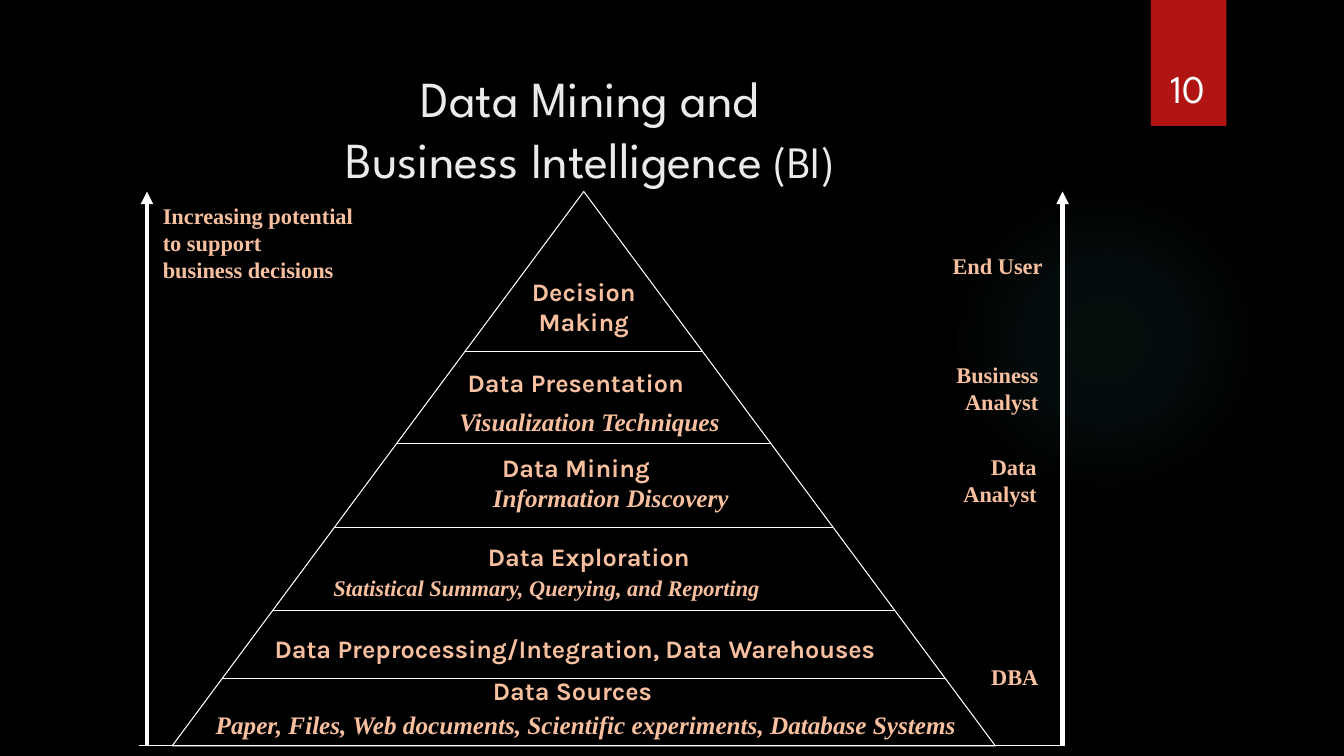
import pptx
import pptx.dml.color
import pptx.enum.shapes
import pptx.enum.text
import pptx.oxml
import pptx.oxml.ns
import pptx.util

ALIGN = pptx.enum.text.PP_ALIGN
ANCHOR = pptx.enum.text.MSO_ANCHOR
AUTO = pptx.enum.text.MSO_AUTO_SIZE
FORM = pptx.enum.shapes.MSO_SHAPE
NS = pptx.oxml.ns.nsdecls("a")
COLS, ROWS = 160, 90
HEAD, BODY, NOTE = "League Spartan", "Karla", "Times New Roman"
WHITE, PALE, PEACH = "FFFFFF", "EBEBEB", "F8C09F"


def paint(code):
    return pptx.dml.color.RGBColor.from_string(code)


class Board:
    """Draws styled elements on one slide, measured in columns and rows."""

    def __init__(self, deck, back):
        self.wide = deck.slide_width / COLS
        self.high = deck.slide_height / ROWS
        self.slide = deck.slides.add_slide(deck.slide_layouts[5])
        self.slide.background.fill.solid()
        self.slide.background.fill.fore_color.rgb = paint(back)

    def place(self, x, y, w, h):
        return (round(x * self.wide), round(y * self.high),
                round(w * self.wide), round(h * self.high))

    def style(self, para, size, face, color, align, bold=False, slant=False):
        para.alignment = align
        font = para.font
        font.size, font.name = pptx.util.Pt(size), face
        font.bold, font.italic = bold, slant
        font.color.rgb = paint(color)

    def title(self, box, text, tail):
        shape = self.slide.shapes.title
        shape.left, shape.top, shape.width, shape.height = self.place(*box)
        frame = shape.text_frame
        frame.auto_size, frame.word_wrap = AUTO.NONE, True
        frame.vertical_anchor = ANCHOR.MIDDLE
        para = frame.paragraphs[0]
        para.text = text
        self.style(para, 36, HEAD, PALE, ALIGN.CENTER)
        run = para.add_run()
        run.text = tail
        run.font.size = pptx.util.Pt(32)

    def shape(self, form, box, fill=None, line=None):
        shape = self.slide.shapes.add_shape(form, *self.place(*box))
        shape.shadow.inherit = False
        if fill:
            shape.fill.solid()
            shape.fill.fore_color.rgb = paint(fill)
        else:
            shape.fill.background()
        if line:
            shape.line.color.rgb = paint(line)
            shape.line.width = pptx.util.Pt(0.75)
        else:
            shape.line.fill.background()
        return shape

    def glow(self, box, color, stops):
        props = self.shape(FORM.OVAL, box).fill._xPr
        marks = "".join(
            f'<a:gs pos="{pos * 1000}"><a:srgbClr val="{color}">'
            f'<a:alpha val="{alpha * 1000}"/></a:srgbClr></a:gs>'
            for pos, alpha in stops)
        grad = pptx.oxml.parse_xml(
            f'<a:gradFill {NS}><a:gsLst>{marks}</a:gsLst><a:path path="circle">'
            '<a:fillToRect l="50000" t="50000" r="50000" b="50000"/>'
            '</a:path></a:gradFill>')
        props.replace(props.find(pptx.oxml.ns.qn("a:noFill")), grad)

    def tab(self, box, fill):
        shape = self.shape(FORM.RECTANGLE, box, fill)
        effect = shape._element.spPr.find(pptx.oxml.ns.qn("a:effectLst"))
        effect.append(pptx.oxml.parse_xml(
            f'<a:outerShdw {NS} blurRad="38100" dist="25400" dir="5400000">'
            '<a:srgbClr val="000000"><a:alpha val="45000"/></a:srgbClr>'
            '</a:outerShdw>'))

    def line(self, x1, y1, x2, y2, width=0.75, arrow=False):
        start, end = self.place(x1, y1, 0, 0), self.place(x2, y2, 0, 0)
        line = self.slide.shapes.add_connector(
            pptx.enum.shapes.MSO_CONNECTOR.STRAIGHT, *start[:2], *end[:2])
        line.line.color.rgb = paint(WHITE)
        line.line.width = pptx.util.Pt(width)
        if arrow:
            line.line._get_or_add_ln().append(
                pptx.oxml.parse_xml(f'<a:tailEnd {NS} type="triangle"/>'))
        line._element.spPr.append(pptx.oxml.parse_xml(f"<a:effectLst {NS}/>"))

    def text(self, box, text, size=18, face=BODY, color=PEACH, align=ALIGN.LEFT,
             bold=True, slant=False, wrap=False, anchor=ANCHOR.TOP):
        frame = self.slide.shapes.add_textbox(*self.place(*box)).text_frame
        frame.word_wrap, frame.vertical_anchor = wrap, anchor
        frame.auto_size = AUTO.NONE if anchor == ANCHOR.BOTTOM else AUTO.SHAPE_TO_FIT_TEXT
        frame.text = text
        for para in frame.paragraphs:
            self.style(para, size, face, color, align, bold, slant)


def main():
    deck = pptx.Presentation()
    deck.slide_width = pptx.util.Inches(13.33)
    deck.slide_height = pptx.util.Inches(7.5)
    board = Board(deck, "000000")
    board.glow((113, 22, 37, 37), "50B9C1", [(0, 7), (36, 6), (69, 0), (100, 0)])
    board.tab((137, 0, 9, 15), "B01513")
    board.title((8.5, 6, 123.5, 18.4), "Data Mining and\vBusiness Intelligence", " (BI)")
    board.text((135.9, 3.8, 11, 10.1), "10", 28, HEAD, WHITE, ALIGN.CENTER,
               bold=False, wrap=True, anchor=ANCHOR.BOTTOM)

    mid, top, base, half = 69.5, 22.8, 88.8, 49
    board.shape(FORM.FLOWCHART_EXTRACT, (mid - half, top, 2 * half, base - top), line=WHITE)
    for row in (80.8, 72.7, 62.8, 52.8, 41.8):
        reach = half * (row - top) / (base - top)
        board.line(mid - reach, row, mid + reach, row)
    for col in (17.5, 126.5):
        board.line(col, base, col, top, 3, True)
    board.line(16.5, base, 126.5, base)

    board.text((18.2, 23.5, 25.4, 10.9),
               "Increasing potential\nto support\nbusiness decisions", 16, NOTE)
    for box, role in (
            ((112.1, 29.4, 13.2, 4.4), "End User"),
            ((112.3, 42.4, 12.5, 7.7), "Business\nAnalyst"),
            ((113.3, 53.4, 11.3, 7.7), "Data\nAnalyst"),
            ((116.8, 78.4, 8, 4.4), "DBA")):
        board.text(box, role, 16, NOTE, align=ALIGN.RIGHT)

    for box, name, align, wrap in (
            ((61.5, 32.3, 16, 8.5), "Decision Making", ALIGN.CENTER, True),
            ((54.5, 43.1, 29.9, 4.8), "Data Presentation", ALIGN.LEFT, False),
            ((58.6, 53.2, 23.4, 4.8), "Data Mining", ALIGN.LEFT, True),
            ((54.7, 63.8, 30.8, 4.8), "Data Exploration", ALIGN.CENTER, True),
            ((31.5, 74.8, 79.8, 4.8),
             "Data Preprocessing/Integration, Data Warehouses", ALIGN.LEFT, False),
            ((57.5, 79.8, 22.4, 4.8), "Data Sources", ALIGN.LEFT, False)):
        board.text(box, name, align=align, wrap=wrap)
    for box, note, size, wrap in (
            ((53.5, 47.8, 33.7, 4.8), "Visualization Techniques", 18, False),
            ((57.5, 56.8, 30.8, 4.8), "Information Discovery", 18, False),
            ((38.5, 67.8, 60, 4.4),
             "Statistical Summary, Querying, and Reporting", 16, True),
            ((24.5, 83.8, 93.4, 4.8),
             "Paper, Files, Web documents, Scientific experiments, Database Systems", 18, True)):
        board.text(box, note, size, NOTE, slant=True, wrap=wrap)
    deck.save("out.pptx")


if __name__ == "__main__":
    main()
